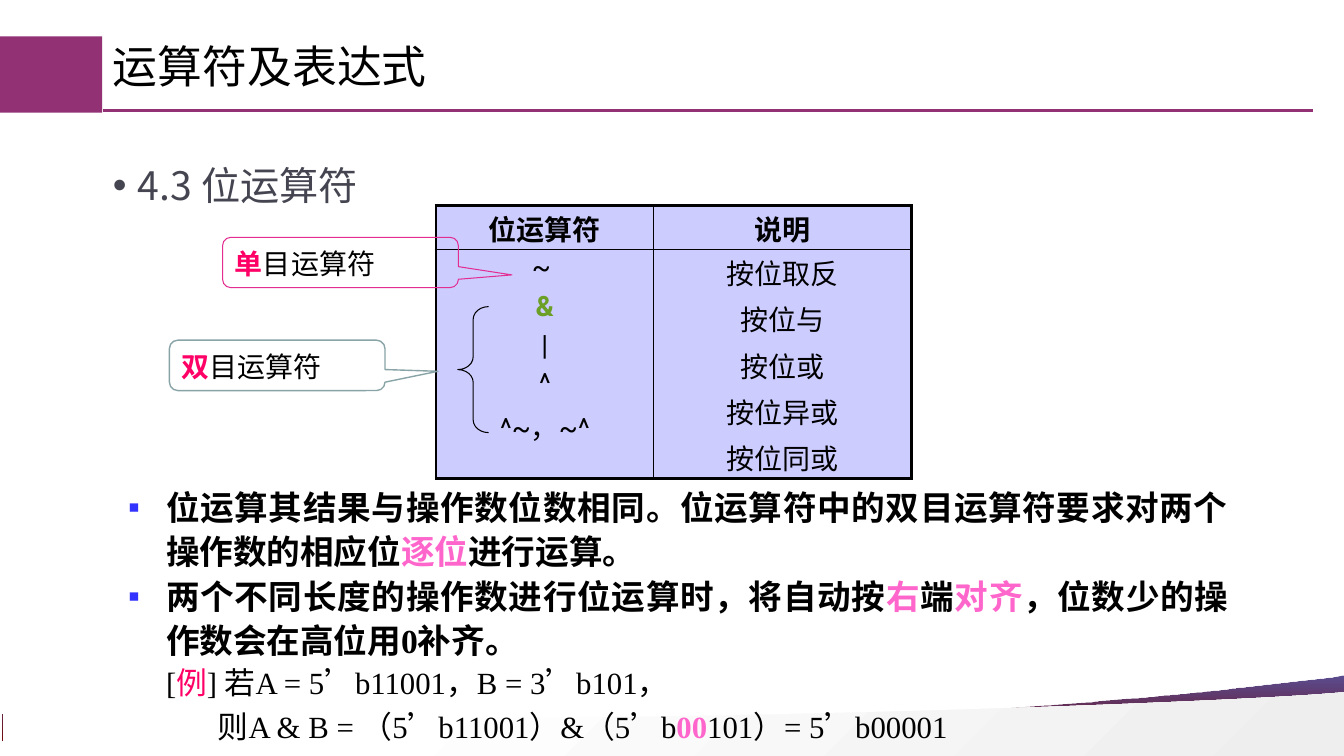
"""Build the slide on bitwise operators."""
from lxml import etree
from pptx import Presentation
from pptx.dml.color import RGBColor
from pptx.enum.shapes import MSO_CONNECTOR, MSO_SHAPE
from pptx.enum.text import MSO_ANCHOR, MSO_AUTO_SIZE, PP_ALIGN
from pptx.oxml.ns import qn
from pptx.util import Pt

LINE = MSO_CONNECTOR.STRAIGHT
RECT = MSO_SHAPE.RECTANGLE
CALL = MSO_SHAPE.ROUNDED_RECTANGULAR_CALLOUT
BRACE = MSO_SHAPE.LEFT_BRACE
TOP, BOTTOM = MSO_ANCHOR.TOP, MSO_ANCHOR.BOTTOM
LEFT, CENTER, JUST = PP_ALIGN.LEFT, PP_ALIGN.CENTER, PP_ALIGN.JUSTIFY
NOFIT = MSO_AUTO_SIZE.NONE

BLACK = RGBColor(0x00, 0x00, 0x00)
WHITE = RGBColor(0xFF, 0xFF, 0xFF)
PLUM = RGBColor(0x93, 0x31, 0x75)
GREY = RGBColor(0x45, 0x45, 0x51)
PALE = RGBColor(0xEE, 0xEE, 0xEE)
LILAC = RGBColor(0xCC, 0xCC, 0xFF)
GREEN = RGBColor(0x6B, 0x9F, 0x25)
RED = RGBColor(0xFF, 0x00, 0x66)
PINK = RGBColor(0xFF, 0x66, 0xCC)
ROSE = RGBColor(0xE3, 0x2D, 0x91)
TEAL = RGBColor(0x89, 0xA4, 0xA7)
BLUE = RGBColor(0x33, 0x33, 0xFF)
WINE = RGBColor(0x72, 0x08, 0x08)
NAVY = RGBColor(0x34, 0x22, 0x75)
SANS, LATIN, SERIF = "Noto Sans CJK SC", "Roboto", "Times New Roman"


def add(node, tag, **attrs):
    """Append a child element."""
    return etree.SubElement(node, qn(tag), attrs)


def write(para, parts, face, size, align=LEFT, space=None):
    """Fill a paragraph with (text, colour, bold) parts."""
    para.alignment = align
    para.line_spacing = space
    for text, color, bold in parts:
        run = para.add_run()
        run.text = text
        font = run.font
        font.name, font.size, font.bold = face, Pt(size), bold
        font.color.rgb = color
        add(font._element, "a:ea", typeface=SANS)


def indent(para, left, hang=0, mark=None, color=None):
    """Set the indent and an optional bullet."""
    props = para._p.get_or_add_pPr()
    props.set("marL", str(Pt(left)))
    props.set("indent", str(Pt(-hang)))
    if mark:
        if color:
            add(add(props, "a:buClr"), "a:srgbClr", val=str(color))
        add(props, "a:buFont", typeface="Arial")
        add(props, "a:buChar", char=mark)


def add_box(slide, *area):
    """Add a wrapping text box and return its frame."""
    frame = slide.shapes.add_textbox(*map(Pt, area)).text_frame
    frame.word_wrap = True
    return frame


def add_form(slide, kind, area, fill=None, line=None, width=1, adj=()):
    """Add a preset shape with plain fill and line."""
    shape = slide.shapes.add_shape(kind, *map(Pt, area))
    shape.shadow.inherit = False
    if fill:
        shape.fill.solid()
        shape.fill.fore_color.rgb = fill
    else:
        shape.fill.background()
    if line:
        shape.line.color.rgb = line
        shape.line.width = Pt(width)
    else:
        shape.line.fill.background()
    for i, value in enumerate(adj):
        shape.adjustments[i] = value
    return shape


def add_call(slide, area, line, width, adj, head):
    """Add a callout whose first letter stands out."""
    frame = add_form(slide, CALL, area, None, line, width, adj).text_frame
    frame.word_wrap = True
    frame.vertical_anchor = BOTTOM
    parts = [(head, RED, True), ("目运算符", BLACK, False)]
    write(frame.paragraphs[0], parts, SANS, 20)


def curve(*knots, steps=24):
    """Return points along a cubic curve."""
    points = []
    for i in range(steps + 1):
        t = i / steps
        rates = ((1 - t) ** 3, 3 * t * (1 - t) ** 2, 3 * t * t * (1 - t), t ** 3)
        points.append(tuple(sum(r * k[axis] for r, k in zip(rates, knots)) for axis in (0, 1)))
    return points


def add_wave(slide, points, stops, angle):
    """Add a gradient band from (position, colour) stops."""
    fine = [(x * 100, y * 100) for x, y in points]
    pen = slide.shapes.build_freeform(*fine[0], scale=Pt(1) / 100)
    pen.add_line_segments(fine[1:], close=True)
    wave = pen.convert_to_shape()
    wave.shadow.inherit = False
    wave.line.fill.background()
    wave.fill.gradient()
    wave.fill.gradient_angle = angle
    for stop, (place, color) in zip(wave.fill.gradient_stops, stops):
        stop.position = place
        stop.color.rgb = color
    return wave


def add_frame(slide):
    """Draw the waves, the title block and its rule."""
    upper = [(960, 482.5), (960, 529), (2, 529), (2, 510)]
    upper += curve((3, 510), (219, 533.5), (592.5, 517), (808, 499))
    upper += curve((808, 499), (851, 495.5), (900, 490), (952, 484))
    wave = add_wave(slide, upper, [(0, WINE), (1, NAVY)], 90)
    tint = wave._element.findall(".//" + qn("a:srgbClr"))[-1]
    add(tint, "a:alpha", val="80000")
    lower = [(960, 494.5), (960, 540), (2, 540), (2, 506)]
    lower += curve((34, 507.5), (284, 519), (657, 510), (880, 499.5))
    lower += curve((880, 499.5), (899, 498.5), (919, 497.5), (941, 496))
    add_wave(slide, lower, [(0.26, WHITE), (1, PALE)], 315)
    rule = slide.shapes.add_connector(LINE, Pt(73.5), Pt(79), Pt(938), Pt(79))
    rule.line.color.rgb = PLUM
    rule.line.width = Pt(2.25)
    add(rule._element.spPr, "a:effectLst")
    add_form(slide, RECT, (-1.5, 26, 74.5, 54.5), PLUM)


def set_title(slide, text):
    """Place and format the title."""
    title = slide.shapes.title
    title.left, title.top, title.width, title.height = map(Pt, (73.5, 29, 821, 60))
    frame = title.text_frame
    frame.auto_size = NOFIT
    frame.vertical_anchor = TOP
    frame.margin_top = Pt(3)
    write(frame.paragraphs[0], [(text, BLACK, False)], SANS, 32, LEFT, 0.9)


def set_edges(cell, **widths):
    """Set the border widths by side letter."""
    props = cell._tc.get_or_add_tcPr()
    for i, (side, width) in enumerate(widths.items()):
        edge = etree.Element(qn("a:ln" + side), w=str(Pt(width)))
        add(add(edge, "a:solidFill"), "a:srgbClr", val=str(BLACK))
        props.insert(i, edge)


def add_grid(slide, rows):
    """Add the table; each cell is a list of lines."""
    area = map(Pt, (311.5, 147, 339.5, 195))
    grid = slide.shapes.add_table(2, 2, *area).table
    grid.first_row = grid.horz_banding = False
    for i in (0, 1):
        grid.columns[i].width = Pt((155.5, 184)[i])
        grid.rows[i].height = Pt((31.5, 163.5)[i])
    for r, row in enumerate(rows):
        for c, lines in enumerate(row):
            cell = grid.cell(r, c)
            cell.fill.solid()
            cell.fill.fore_color.rgb = LILAC
            cell.margin_left = cell.margin_right = Pt(2)
            cell.margin_top = cell.margin_bottom = Pt(1.5)
            thin, thick = 1, 2.25
            set_edges(cell, L=thin if c else thick, R=thick if c else thin,
                      T=thin if r else thick, B=thick if r else thin)
            frame = cell.text_frame
            for i, text in enumerate(lines):
                para = frame.add_paragraph() if i else frame.paragraphs[0]
                mark = text == "&"
                part = (text, GREEN if mark else BLACK, mark or r == 0)
                write(para, [part], LATIN, 20, CENTER)
                para.space_before = Pt(4)


def add_notes(slide):
    """Add the two rules and the worked example."""
    notes = [
        (24, 27, [("位运算其结果与操作数位数相同。位运算符中的双目运算符要求对两个操作数的相应位", BLACK, True),
                  ("逐位", PINK, True), ("进行运算。", BLACK, True)]),
        (24, 27, [("两个不同长度的操作数进行位运算时，将自动按", BLACK, True), ("右", PINK, True),
                  ("端", BLACK, True), ("对齐", PINK, True),
                  ("，位数少的操作数会在高位用0补齐。", BLACK, True)]),
        (22, 0, [("[", BLACK, False), ("例", RED, False),
                 ("] 若A = 5’b11001，B = 3’b101，", BLACK, False)]),
        (22, 0, [("则A & B = （5’b11001）&（5’b", BLACK, False), ("00", PINK, True),
                 ("101）= 5’b00001", BLACK, False)]),
    ]
    frame = add_box(slide, 84.5, 341.5, 800, 191)
    for i, (size, hang, parts) in enumerate(notes):
        para = frame.add_paragraph() if i else frame.paragraphs[0]
        write(para, parts, SERIF, size, JUST, 1.1)
        indent(para, 64 if i == 3 else 27, hang, "▪" if hang else None, BLUE)
    para.space_before = Pt(2)


def main():
    """Build and save the slide."""
    deck = Presentation()
    deck.slide_width, deck.slide_height = Pt(960), Pt(540)
    slide = deck.slides.add_slide(deck.slide_layouts[5])
    add_frame(slide)
    set_title(slide, "运算符及表达式")
    head = add_box(slide, 73.5, 108.5, 833, 50).paragraphs[0]
    write(head, [("4.3 位运算符", GREY, False)], SANS, 28, JUST, 1.1)
    indent(head, 18, 18, "•")
    add_grid(slide, [
        [["位运算符"], ["说明"]],
        [["~ ", "&", "|", "^", "^~，~^"],
         ["按位取反", "按位与", "按位或", "按位异或", "按位同或"]],
    ])
    add_call(slide, (121, 243, 154, 36), TEAL, 1, (0.745, 0.118, 0.167), "双")
    add_form(slide, BRACE, (327, 219, 22, 90), None, BLACK, 0.75, (0.414, 0.5))
    add_call(slide, (159, 169.5, 168.5, 36), ROSE, 0.75, (0.727, 0.247, 0.167), "单")
    add_notes(slide)
    deck.save("out.pptx")


if __name__ == "__main__":
    main()
